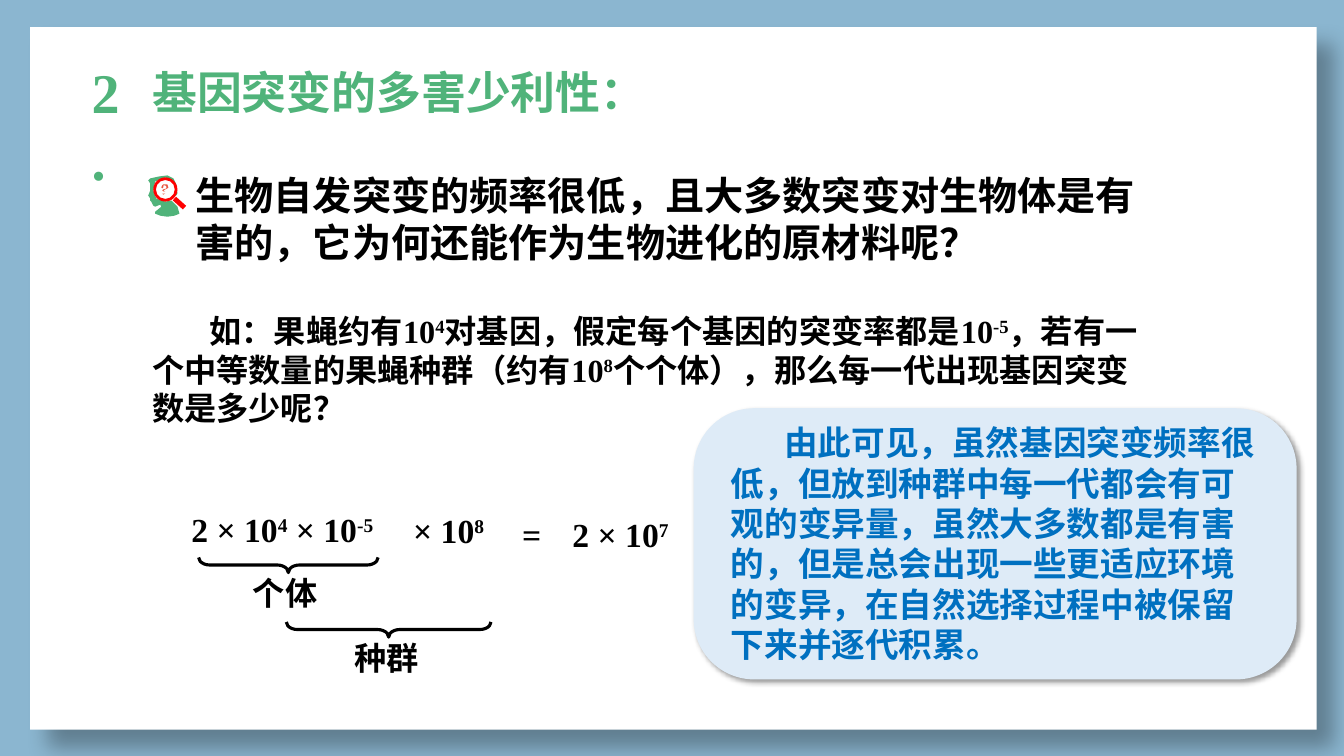
from lxml.etree import SubElement
from pptx import Presentation
from pptx.dml.color import RGBColor
from pptx.enum.shapes import MSO_CONNECTOR, MSO_SHAPE
from pptx.enum.text import MSO_ANCHOR, MSO_AUTO_SIZE, PP_ALIGN
from pptx.oxml.ns import qn
from pptx.util import Inches, Pt

SERIF, SANS = "Times New Roman", "Arial"
GREEN, RED, BLUE, BLACK, WHITE = "50B37A", "FF0000", "0070C0", "000000", "FFFFFF"
ORANGE, PALE, FRAME = "E8553F", "DEEBF7", "8BB6D0"

# Icon outlines in hundredths of an inch from the icon's corner
HEAD = [(30, 33), (26, 29), (24, 27), (18, 28), (9, 25), (6, 17), (8, 8), (18, 4),
        (26, 8), (29, 22), (30, 20), (29, 11), (26, 5), (20, 2), (12, 3), (3, 5),
        (1, 7), (3, 10), (3, 17), (1, 22), (3, 25), (3, 27), (4, 28), (6, 32),
        (8, 33), (13, 31), (14, 33), (8, 38), (8, 40), (13, 42), (20, 43),
        (27, 42), (32, 40), (30, 33)]
HOOK = [(20, 11), (16, 11), (15, 12), (14, 14), (15, 15), (16, 14), (16, 12),
        (18, 12), (19, 13), (19, 15), (16, 16), (15, 17), (16, 18), (18, 18),
        (16, 17), (18, 16), (20, 15), (21, 14), (20, 11)]
DOT = [(16, 20), (15, 20), (16, 21), (18, 20), (16, 20)]


def rgb(value):
    return RGBColor.from_string(value)


def inches(*values):
    return [Inches(v) for v in values]


def write(sp, runs, size, color=BLACK, font=SERIF, margin=0, indent=0, tab=0):
    """Fill a shape with one paragraph; runs at odd places are superscript."""
    tf = sp.text_frame
    tf.word_wrap = True
    tf.auto_size = MSO_AUTO_SIZE.NONE
    tf.vertical_anchor = MSO_ANCHOR.TOP
    p = tf.paragraphs[0]
    p.alignment = PP_ALIGN.LEFT
    pPr = p._p.get_or_add_pPr()
    pPr.set("marL", str(Inches(margin)))
    pPr.set("indent", str(Inches(indent)))
    if tab:
        tabs = SubElement(pPr, qn("a:tabLst"))
        SubElement(tabs, qn("a:tab"), pos=str(Inches(tab)), algn="l")
    for i, text in enumerate(runs):
        r = p.add_run()
        r.text = text
        r.font.size, r.font.bold, r.font.name = Pt(size), True, font
        r.font.color.rgb = rgb(color)
        if i % 2:
            r.font._element.set("baseline", "30000")


def label(s, box, runs, size, **style):
    write(s.shapes.add_textbox(*inches(*box)), runs, size, **style)


def panel(s, kind, box, fill, shadow=None):
    """Add a borderless shape; shadow is (opacity %, blur pt, distance pt)."""
    sp = s.shapes.add_shape(kind, *inches(*box))
    sp.fill.solid()
    sp.fill.fore_color.rgb = rgb(fill)
    sp.line.fill.background()
    sp.shadow.inherit = False
    if shadow:
        opacity, blur, dist = shadow
        effects = sp._element.spPr.find(qn("a:effectLst"))
        outer = SubElement(effects, qn("a:outerShdw"), blurRad=str(Pt(blur)),
                           dist=str(Pt(dist)), dir=str(45 * 60000),
                           algn="tl", rotWithShape="0")
        tone = SubElement(outer, qn("a:srgbClr"), val=BLACK)
        SubElement(tone, qn("a:alpha"), val=str(opacity * 1000))
    return sp


def outline(s, x, y, points, fill):
    unit = Inches(0.01)
    builder = s.shapes.build_freeform(*points[0], scale=unit)
    builder.add_line_segments(points[1:], close=True)
    sp = builder.convert_to_shape(Inches(x), Inches(y))
    sp.fill.solid()
    sp.fill.fore_color.rgb = rgb(fill)
    sp.line.fill.background()
    sp.shadow.inherit = False


def backdrop(s):
    s.background.fill.solid()
    s.background.fill.fore_color.rgb = rgb(FRAME)
    panel(s, MSO_SHAPE.RECTANGLE, (0.3, 0.27, 12.76, 6.97), WHITE, (30, 15, 18))


def heading(s, x, y):
    label(s, (x, y, 0.6, 0.77), ["2."], 40, color=GREEN)
    title = s.shapes.title
    title.element.getparent().append(title.element)
    title.left, title.top, title.width, title.height = inches(x + 0.6, y + 0.07, 5.31, 0.64)
    write(title, ["基因突变的多害少利性："], 32, color=GREEN)


def thinking_icon(s, x, y):
    outline(s, x, y, HEAD, GREEN)
    lens = panel(s, MSO_SHAPE.DONUT, (x + 0.06, y + 0.04, 0.24, 0.24), RED)
    lens.adjustments[0] = 0.11
    handle = s.shapes.add_connector(
        MSO_CONNECTOR.STRAIGHT, *inches(x + 0.27, y + 0.25, x + 0.37, y + 0.34))
    handle.line.color.rgb = rgb(RED)
    handle.line.width = Pt(3.5)
    SubElement(handle._element.spPr, qn("a:effectLst"))
    for part in (HOOK, DOT):
        outline(s, x, y, part, ORANGE)


def question(s, x, y):
    thinking_icon(s, x + 0.05, y + 0.07)
    label(s, (x + 0.43, y, 9.88, 1.04),
          ["生物自发突变的频率很低，且大多数突变对生物体是有害的，它为何还能作为生物进化的原材料呢？"], 28)
    label(s, (x, y + 1.39, 10, 1.26),
          ["如：果蝇约有10", "4", "对基因，假定每个基因的突变率都是10", "-5",
           "，若有一个中等数量的果蝇种群（约有10", "8",
           "个个体），那么每一代出现基因突变数是多少呢？"], 23, indent=0.57)


def brace(s, x, y, span, depth=0.15):
    """Add a brace that opens upwards, given its visible left and top."""
    sp = s.shapes.add_shape(MSO_SHAPE.LEFT_BRACE, *inches(
        x + (span - depth) / 2, y - (span - depth) / 2, depth, span))
    sp.rotation = 270
    sp.adjustments[0] = 0.733
    sp.fill.background()
    sp.line.color.rgb = rgb(BLACK)
    sp.line.width = Pt(2.25)
    sp.shadow.inherit = False


def calculation(s, x, y):
    label(s, (x, y, 2.58, 0.5), ["2 × 10", "4", " × 10", "-5"], 24)
    label(s, (x + 2.2, y + 0.01, 1.5, 0.5), ["× 10", "8"], 24)
    label(s, (x + 3.28, y + 0.05, 1.87, 0.5), ["=\t2 × 10", "7"], 24, tab=0.35)
    for dx, dy, span, name, name_dx in ((0.17, 0.53, 1.78, "个体", 0.61),
                                        (1.04, 1.17, 2.03, "种群", 1.62)):
        brace(s, x + dx, y + dy, span)
        label(s, (x + name_dx, y + dy + 0.11, 0.98, 0.49), [name], 23)


def conclusion(s, x, y):
    card = panel(s, MSO_SHAPE.ROUNDED_RECTANGLE, (x, y, 5.98, 2.69), PALE, (40, 4, 3))
    card.adjustments[0] = 0.223
    label(s, (x - 0.11, y + 0.09, 5.89, 2.52),
          ["由此可见，虽然基因突变频率很低，但放到种群中每一代都会有可观的变异量，"
           "虽然大多数都是有害的，但是总会出现一些更适应环境的变异，"
           "在自然选择过程中被保留下来并逐代积累。"],
          24, color=BLUE, font=SANS, margin=0.38, indent=0.53)


def main():
    prs = Presentation()
    prs.slide_width, prs.slide_height = inches(13.33, 7.5)
    s = prs.slides.add_slide(prs.slide_layouts[5])
    backdrop(s)
    heading(s, 0.81, 0.52)
    question(s, 1.41, 1.65)
    calculation(s, 1.8, 5)
    conclusion(s, 6.88, 4.05)
    prs.save("out.pptx")


if __name__ == "__main__":
    main()
